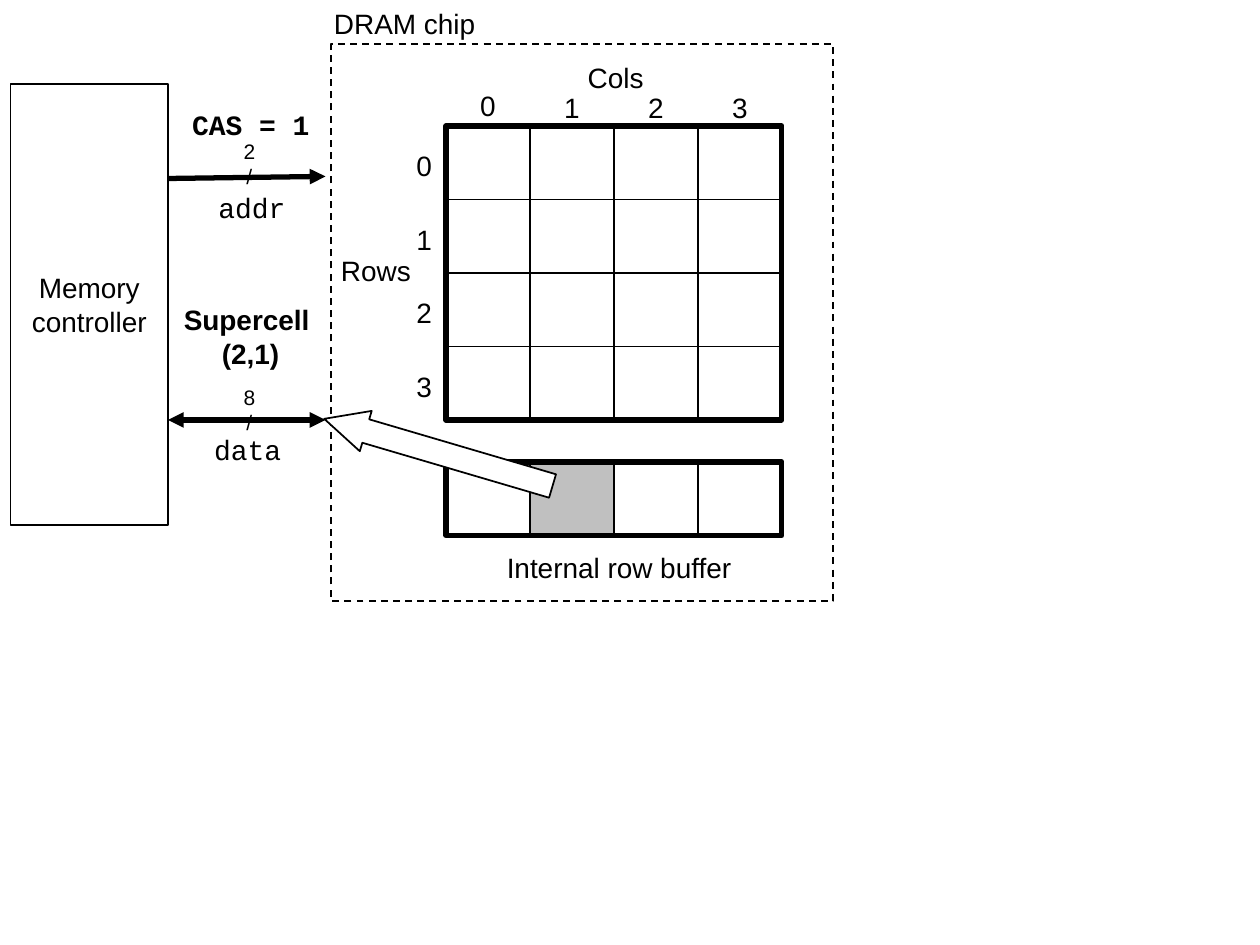
import pptx
import pptx.dml.color
import pptx.enum.dml
import pptx.enum.shapes
import pptx.enum.text
import pptx.oxml.ns
import pptx.util
from lxml import etree

Pt = pptx.util.Pt
SHAPES = pptx.enum.shapes.MSO_SHAPE
COLORS = {"ink": "000000", "paper": "FFFFFF", "selected": "C0C0C0"}
CELL_WIDTH, CELL_HEIGHT = 48, 42
COLUMNS, ROWS = 4, 4


def rgb(name):
    """Return the palette colour with the given name."""
    return pptx.dml.color.RGBColor.from_string(COLORS[name])


def write(frame, text, size=16, font="Arial", bold=False):
    """Write centred lines of text into a frame that does not wrap."""
    frame.word_wrap = False
    frame.vertical_anchor = pptx.enum.text.MSO_ANCHOR.MIDDLE
    frame.text = text
    for paragraph in frame.paragraphs:
        paragraph.alignment = pptx.enum.text.PP_ALIGN.CENTER
        paragraph.font.size = Pt(size)
        paragraph.font.name = font
        paragraph.font.bold = bold
        paragraph.font.color.rgb = rgb("ink")


def add_label(slide, center_x, center_y, text, width=23, height=26.5, **style):
    """Add a text box centred on a point, fitted to its text."""
    label = slide.shapes.add_textbox(
        Pt(center_x - width / 2), Pt(center_y - height / 2), Pt(width), Pt(height))
    write(label.text_frame, text, **style)
    label.text_frame.auto_size = pptx.enum.text.MSO_AUTO_SIZE.SHAPE_TO_FIT_TEXT


def add_outline(slide, box, fill=None, weight=1, kind=SHAPES.RECTANGLE):
    """Add an outlined shape, filled only when a colour is named."""
    outline = slide.shapes.add_shape(kind, *(Pt(length) for length in box))
    outline.shadow.inherit = False
    if fill:
        outline.fill.solid()
        outline.fill.fore_color.rgb = rgb(fill)
    else:
        outline.fill.background()
    outline.line.color.rgb = rgb("ink")
    outline.line.width = Pt(weight)
    return outline


def add_cells(slide, left, top, rows, selected=None, fill=None):
    """Add a block of memory cells inside a heavy frame."""
    for row in range(rows):
        for column in range(COLUMNS):
            box = (left + column * CELL_WIDTH, top + row * CELL_HEIGHT,
                   CELL_WIDTH, CELL_HEIGHT)
            add_outline(slide, box, "selected" if (row, column) == selected else fill)
    add_outline(slide, (left, top, COLUMNS * CELL_WIDTH, rows * CELL_HEIGHT), weight=3)


def add_cell_array(slide, left, top):
    """Add the supercell array with its row and column numbers."""
    add_label(slide, left + 97, top - 27.7, "Cols", width=50)
    add_label(slide, left - 40, top + 82.4, "Rows", width=58)
    add_cells(slide, left, top, ROWS, fill="paper")
    for column in range(COLUMNS):
        add_label(slide, left + (column + 0.5) * CELL_WIDTH,
                  top - (10.5 if column else 12), str(column))
    for row in range(ROWS):
        add_label(slide, left - 12.4, top + (row + 0.5) * CELL_HEIGHT + 1.7, str(row))


def add_row_buffer(slide, left, top):
    """Add the internal row buffer with the chosen supercell shaded."""
    add_cells(slide, left, top, 1, selected=(0, 1))
    add_label(slide, left + 99, top + 60.4, "Internal row buffer", width=150)


def add_chip(slide, box):
    """Add the DRAM chip and everything inside it."""
    left, top, width, height = box
    add_cell_array(slide, left + 65.6, top + 46.7)
    add_row_buffer(slide, left + 65.6, top + 238.7)
    border = add_outline(slide, box)
    border.line.dash_style = pptx.enum.dml.MSO_LINE.DASH
    add_label(slide, left + 42, top - 12, "DRAM chip", width=98)


def add_transfer_arrow(slide, box):
    """Add the block arrow from the row buffer to the data bus."""
    transfer = add_outline(slide, box, "paper", kind=SHAPES.DOWN_ARROW)
    transfer.rotation = 106.4
    transfer.adjustments[0] = 0.58
    transfer.adjustments[1] = 1.03


def add_bus(slide, box, name, name_x, bits, bits_rise, ends):
    """Add a bus line with arrowheads, its name and its bit width."""
    left, top, width, rise = box
    bus = slide.shapes.add_connector(
        pptx.enum.shapes.MSO_CONNECTOR.STRAIGHT,
        Pt(left), Pt(top), Pt(left + width), Pt(top - rise))
    bus.line.color.rgb = rgb("ink")
    bus.line.width = Pt(3)
    line = bus.line._get_or_add_ln()
    for end in ends:
        etree.SubElement(line, pptx.oxml.ns.qn(f"a:{end}"), type="triangle")
    etree.SubElement(bus._element.spPr, pptx.oxml.ns.qn("a:effectLst"))
    add_label(slide, left + name_x, top + 16.5, name, width=56, font="Courier New")
    add_label(slide, left + 46.5, top - bits_rise, f"{bits}\n/", width=21, height=36, size=12)


def add_controller(slide, box):
    """Add the memory controller block."""
    controller = add_outline(slide, box, "paper")
    write(controller.text_frame, "Memory\ncontroller")


def main():
    """Build and save the slide."""
    deck = pptx.Presentation()
    deck.slide_width, deck.slide_height = Pt(720), Pt(540)
    slide = deck.slides.add_slide(deck.slide_layouts[6])
    add_chip(slide, (189.2, 25.3, 287, 318))
    add_transfer_arrow(slide, (238.5, 190.5, 24, 136))
    add_label(slide, 143.3, 71, "CAS = 1", width=88, font="Courier New", bold=True)
    add_label(slide, 143.2, 192.2, "Supercell \n(2,1)", width=96, height=46, bold=True)
    add_bus(slide, (96, 102, 90, 1.2), "addr", 48, 2, 8.4, ["tailEnd"])
    add_bus(slide, (96, 240, 90, 0), "data", 45.5, 8, 6, ["headEnd", "tailEnd"])
    add_controller(slide, (6, 48, 90, 252))
    deck.save("out.pptx")


if __name__ == "__main__":
    main()
